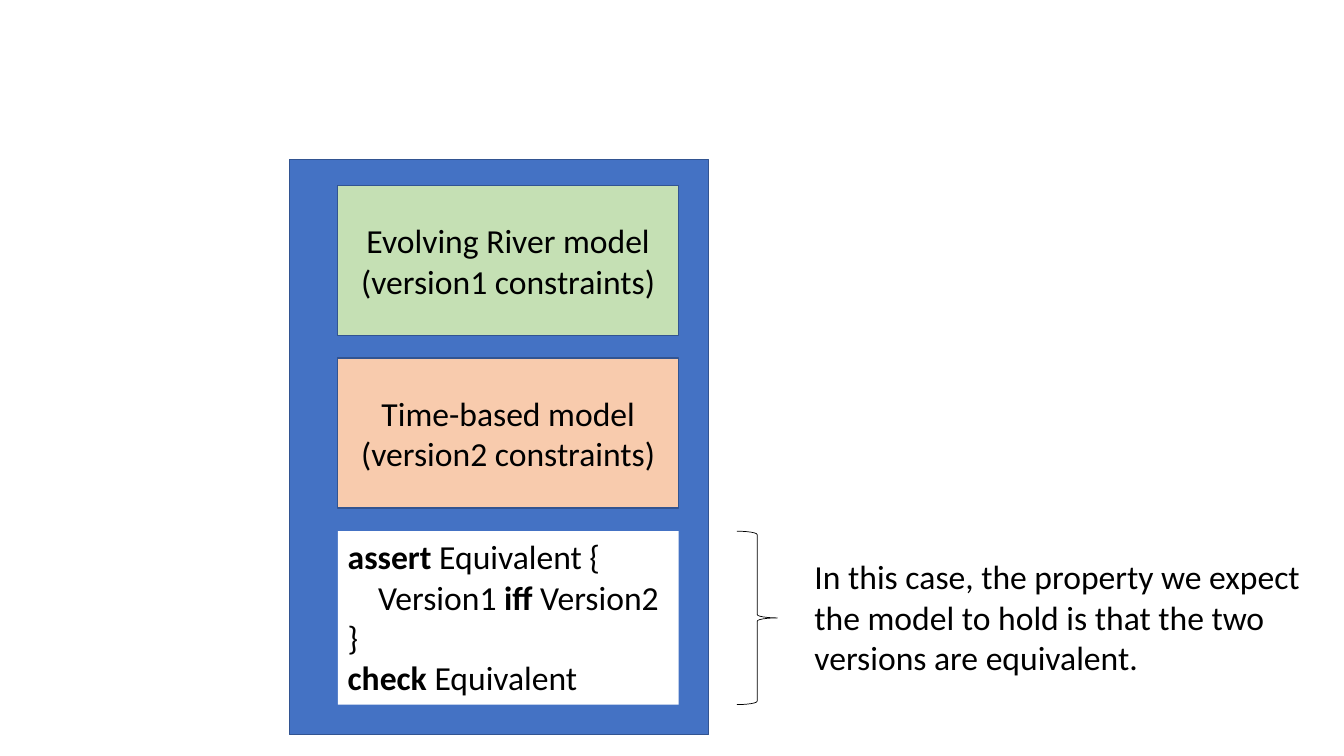
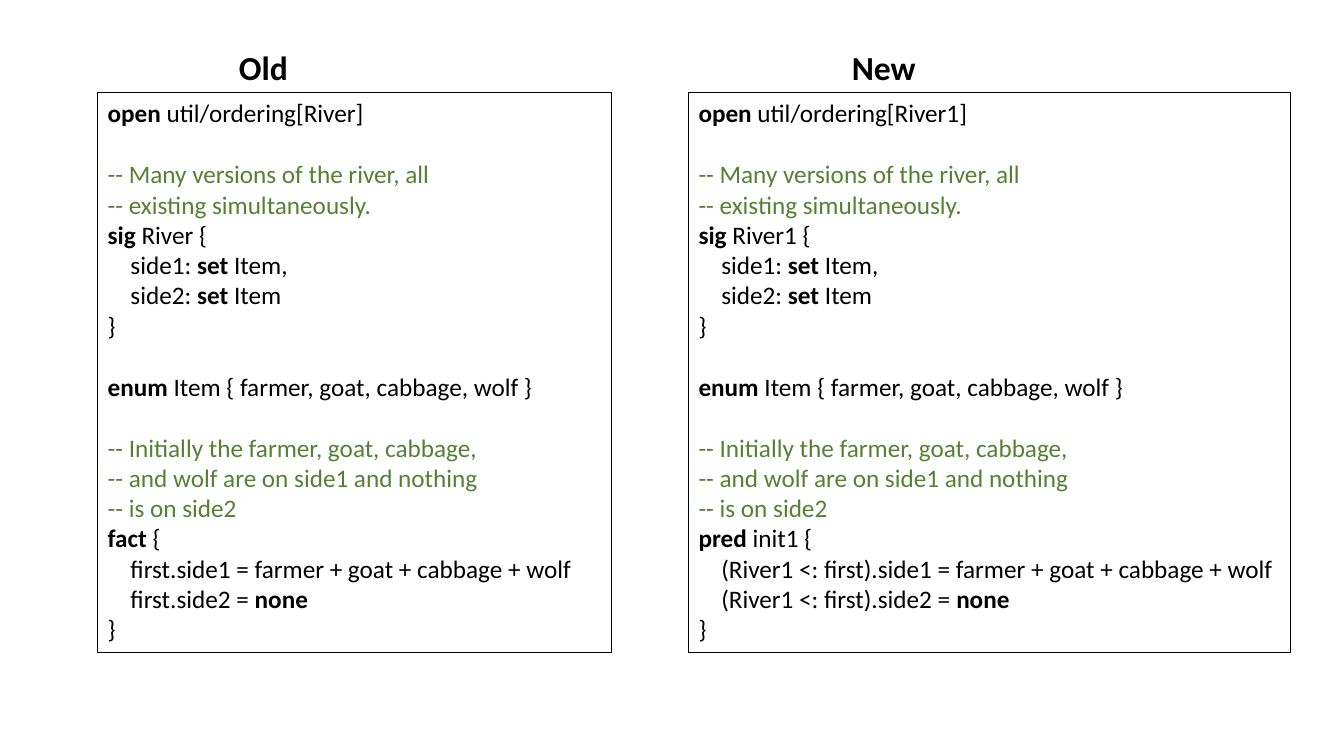
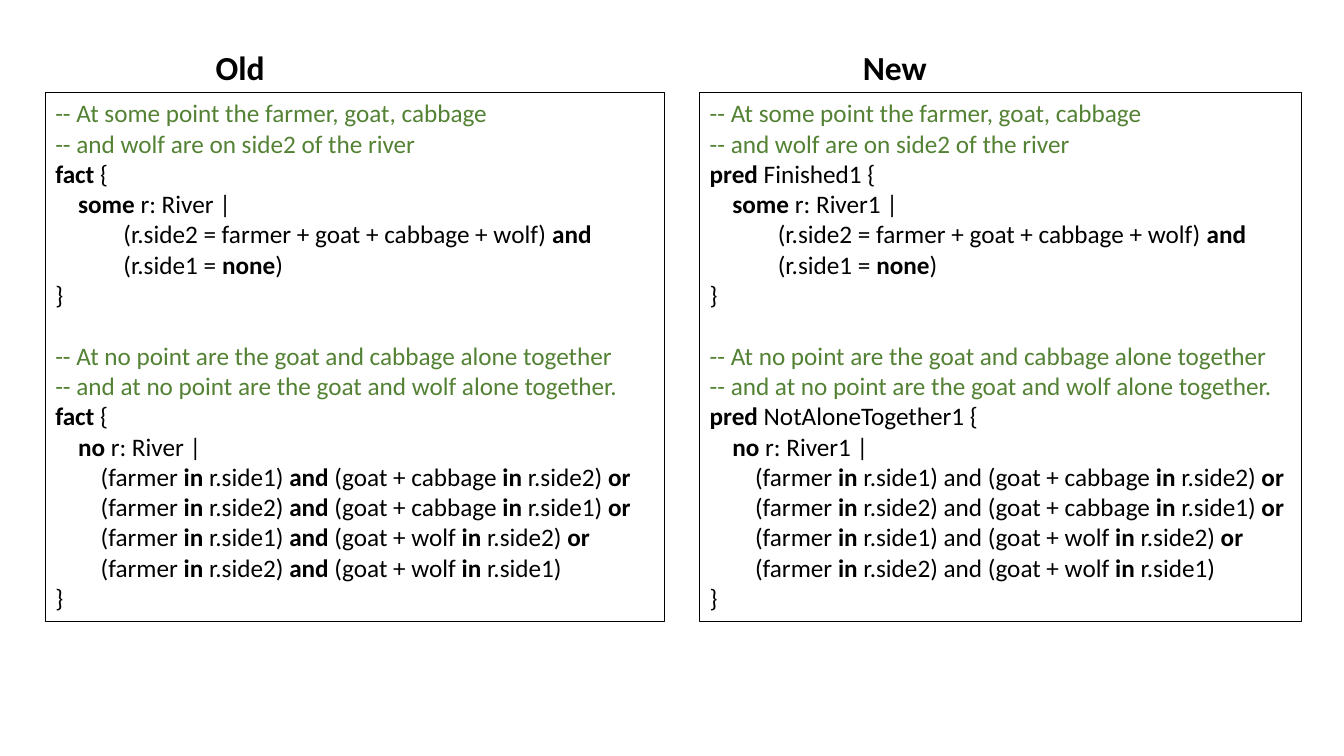
from pptx import Presentation
from pptx.dml.color import RGBColor
from pptx.enum.shapes import MSO_SHAPE
from pptx.enum.text import MSO_ANCHOR, MSO_AUTO_SIZE, PP_ALIGN
from pptx.util import Inches, Pt

RECT, BRACE = MSO_SHAPE.RECTANGLE, MSO_SHAPE.RIGHT_BRACE
TOP, MIDDLE = MSO_ANCHOR.TOP, MSO_ANCHOR.MIDDLE
LEFT, CENTER = PP_ALIGN.LEFT, PP_ALIGN.CENTER
GROW = MSO_AUTO_SIZE.SHAPE_TO_FIT_TEXT

BLACK = RGBColor(0x00, 0x00, 0x00)
WHITE = RGBColor(0xFF, 0xFF, 0xFF)
BLUE = RGBColor(0x44, 0x72, 0xC4)
DARK_BLUE = RGBColor(0x32, 0x54, 0x91)
LIGHT_GREEN = RGBColor(0xC5, 0xE0, 0xB4)
PEACH = RGBColor(0xF8, 0xCB, 0xAD)
COMMENT_GREEN = RGBColor(0x54, 0x82, 0x35)
FONT = "Calibri"
LINE_HEIGHT = 1.22


def add_box(s, shape, x, y, w, h, fill=None, line=None, width=1):
    sp = s.shapes.add_shape(shape, Inches(x), Inches(y), Inches(w), Inches(h))
    sp.shadow.inherit = False
    if fill is None:
        sp.fill.background()
    else:
        sp.fill.solid()
        sp.fill.fore_color.rgb = fill
    if line is None:
        sp.line.fill.background()
    else:
        sp.line.color.rgb = line
        sp.line.width = Pt(width)
    return sp


def write(sp, text, size, align=LEFT, anchor=TOP, wrap=True):
    """Write one paragraph per line; *stars* mark bold, an empty line a gap."""
    tf = sp.text_frame
    tf.word_wrap = wrap
    tf.vertical_anchor = anchor
    if anchor == TOP:
        tf.auto_size = GROW
    p, gap = None, False
    for line in text.strip("\n").split("\n"):
        if not line:
            gap = True
            continue
        p = tf.add_paragraph() if p is not None else tf.paragraphs[0]
        p.alignment = align
        p.font.name = FONT
        p.font.size = Pt(size)
        p.font.color.rgb = COMMENT_GREEN if line.startswith("--") else BLACK
        if gap:
            p.space_before = Pt(round(size * LINE_HEIGHT))
            gap = False
        for i, part in enumerate(line.split("*")):
            if part:
                r = p.add_run()
                r.text = part
                if i % 2:
                    r.font.bold = True


prs = Presentation()
prs.slide_width, prs.slide_height = Inches(13.33), Inches(7.5)
blank = prs.slide_layouts[6]

# Slide 1: the two models and the equivalence check
s = prs.slides.add_slide(blank)
add_box(s, RECT, 2.87, 1.58, 4.16, 5.71, BLUE, DARK_BLUE)
models = [
    ("Evolving River model\n(version1 constraints)", LIGHT_GREEN),
    ("Time-based model\n(version2 constraints)", PEACH),
]
for i, (text, color) in enumerate(models):
    sp = add_box(s, RECT, 3.35, 1.84 + i * 1.71, 3.38, 1.49, color, DARK_BLUE)
    write(sp, text, 24, CENTER, MIDDLE)

EQUIVALENT = """
*assert* Equivalent {
    Version1 *iff* Version2
}
*check* Equivalent
"""
write(add_box(s, RECT, 3.35, 5.27, 3.38, 1.72, WHITE), EQUIVALENT, 24)
add_box(s, BRACE, 7.31, 5.27, 0.4, 1.72, line=BLACK, width=0.5)
note = s.shapes.add_textbox(Inches(7.98), Inches(5.47), Inches(5.1), Inches(1.31))
write(note, "In this case, the property we expect the model to hold is "
            "that the two versions are equivalent.", 24)

# Slides 2 and 3: code shared by the old and the new version
SETUP = """
*open* util/ordering[%(river)s]

-- Many versions of the river, all
-- existing simultaneously.
*sig* %(river)s {
    side1: *set* Item,
    side2: *set* Item
}

*enum* Item { farmer, goat, cabbage, wolf }

-- Initially the farmer, goat, cabbage,
-- and wolf are on side1 and nothing
-- is on side2
%(init)s {
    %(first)s.side1 = farmer + goat + cabbage + wolf
    %(first)s.side2 = *none*
}
"""
RULES = """
-- At some point the farmer, goat, cabbage
-- and wolf are on side2 of the river
%(finished)s {
    *some* r: %(river)s |
            (r.side2 = farmer + goat + cabbage + wolf) *and*
            (r.side1 = *none*)
}

-- At no point are the goat and cabbage alone together
-- and at no point are the goat and wolf alone together.
%(not_alone)s {
    *no* r: %(river)s |
        (farmer *in* r.side1) %(and)s (goat + cabbage *in* r.side2) *or*
        (farmer *in* r.side2) %(and)s (goat + cabbage *in* r.side1) *or*
        (farmer *in* r.side1) %(and)s (goat + wolf *in* r.side2) *or*
        (farmer *in* r.side2) %(and)s (goat + wolf *in* r.side1)
}
"""
OLD = {"river": "River", "first": "first", "and": "*and*",
       "init": "*fact*", "finished": "*fact*", "not_alone": "*fact*"}
NEW = {"river": "River1", "first": "(River1 <: first)", "and": "and",
       "init": "*pred* init1", "finished": "*pred* Finished1",
       "not_alone": "*pred* NotAloneTogether1"}

# code, box height, then per column: title, words, box x and width, title x and width
comparisons = [
    (SETUP, 5.55, [("Old", OLD, 0.97, 5.1, 2.27, 0.69),
                   ("New", NEW, 6.83, 5.97, 8.35, 0.84)]),
    (RULES, 5.25, [("Old", OLD, 0.45, 6.14, 2.04, 0.69),
                   ("New", NEW, 6.94, 5.97, 8.46, 0.84)]),
]
for code, height, columns in comparisons:
    s = prs.slides.add_slide(blank)
    for title, words, x, width, title_x, title_w in columns:
        sp = add_box(s, RECT, x, 0.92, width, height, line=BLACK, width=0.75)
        write(sp, code % words, 18)
        heading = s.shapes.add_textbox(Inches(title_x), Inches(0.42),
                                       Inches(title_w), Inches(0.5))
        write(heading, f"*{title}*", 24, wrap=False)

prs.save("out.pptx")
